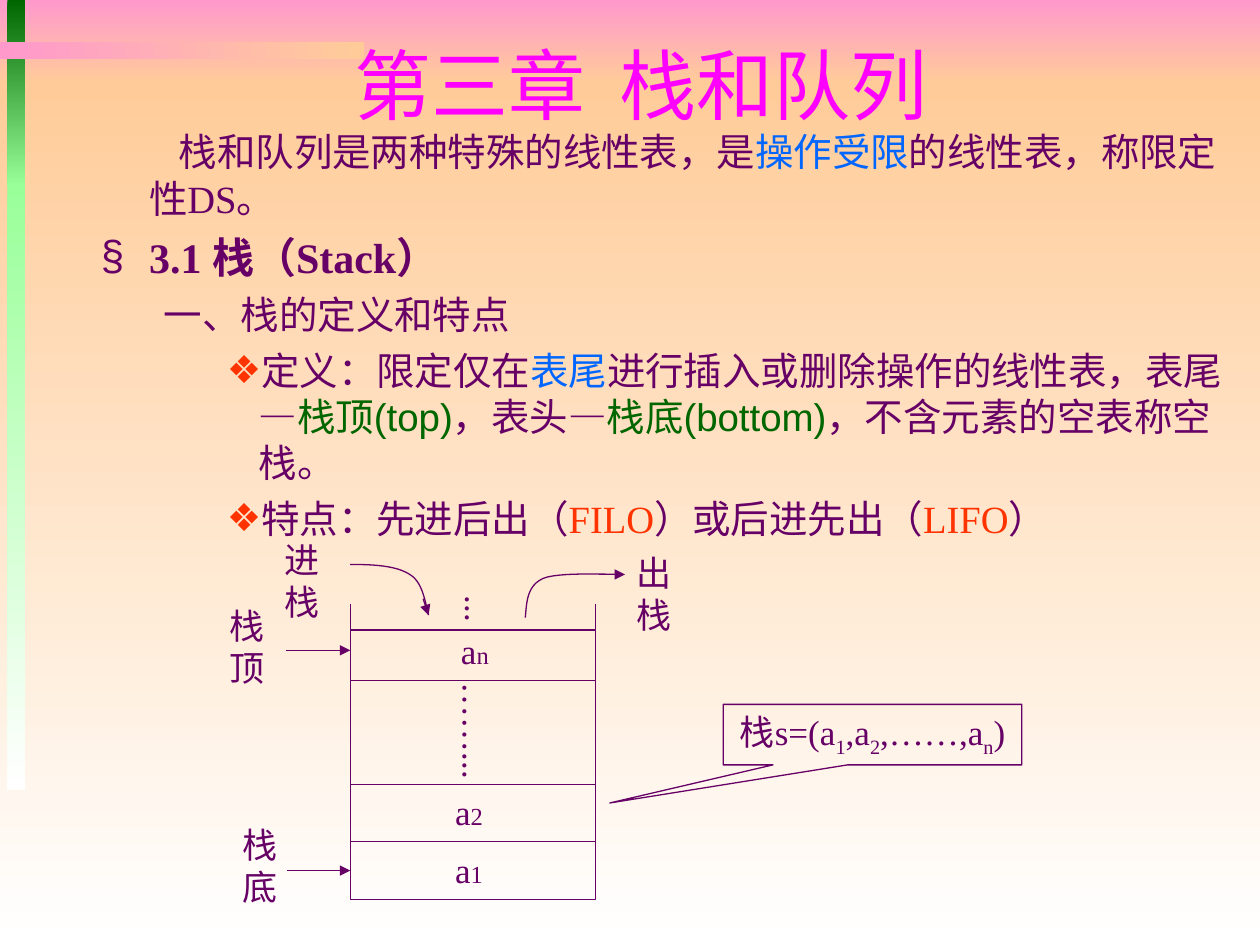
from dataclasses import dataclass
from typing import Optional

from lxml.etree import SubElement
from pptx import Presentation
from pptx.dml.color import RGBColor
from pptx.enum.shapes import MSO_CONNECTOR, MSO_SHAPE
from pptx.enum.text import MSO_ANCHOR, MSO_AUTO_SIZE, PP_ALIGN
from pptx.oxml.ns import qn
from pptx.util import Cm, Pt

COLORS = {
    "ink": "660066", "title": "FF00FF", "blue": "0066FF", "green": "006600",
    "red": "FF3300", "pink": "FF99CC", "peach": "FFCC99", "white": "FFFFFF",
    "mint": "99FF99",
}
SERIF, SANS = "Times New Roman", "Arial"


@dataclass
class Band:
    left: float
    top: float
    width: float
    height: float
    start: str
    end: str
    angle: int = 270


@dataclass
class Piece:
    text: str
    color: str = "ink"
    font: str = SANS
    size: float = 22
    bold: bool = False
    subscript: bool = False


@dataclass
class Item:
    pieces: list[Piece]
    margin: float
    indent: float
    level: int = 0
    space: float = 5.5
    bullet: Optional[str] = None
    bullet_color: str = "ink"


@dataclass
class Label:
    pieces: list[Piece]
    left: float
    top: float
    width: float = 1.9
    height: float = 1.12
    vertical: bool = False


@dataclass
class Segment:
    x1: float
    y1: float
    x2: float
    y2: float
    arrow: bool = False


def rgb(name: str) -> RGBColor:
    return RGBColor.from_string(COLORS[name])


def box(*lengths: float) -> list[Cm]:
    return [Cm(length) for length in lengths]


def place(shape, *lengths: float) -> None:
    shape.left, shape.top, shape.width, shape.height = box(*lengths)


def draw_band(shapes, band: Band, depth: int) -> None:
    bar = shapes.add_shape(MSO_SHAPE.RECTANGLE,
                           *box(band.left, band.top, band.width, band.height))
    bar.shadow.inherit = False
    bar.line.fill.background()
    bar.fill.gradient()
    bar.fill.gradient_angle = band.angle
    for stop, color in zip(bar.fill.gradient_stops, (band.start, band.end)):
        stop.color.rgb = rgb(color)
    shapes._spTree.insert(2 + depth, bar._element)


def write(paragraph, pieces: list[Piece]) -> None:
    paragraph.text = ""
    for piece in pieces:
        run = paragraph.add_run()
        run.text = piece.text
        run.font.name, run.font.size = piece.font, Pt(piece.size)
        run.font.bold = piece.bold
        run.font.color.rgb = rgb(piece.color)
        if piece.subscript:
            run.font._element.set("baseline", "-25000")


def write_item(paragraph, item: Item) -> None:
    write(paragraph, item.pieces)
    paragraph.level = item.level
    paragraph.alignment = PP_ALIGN.LEFT
    paragraph.space_before = Pt(item.space)
    props = paragraph._p.get_or_add_pPr()
    props.set("marL", str(Cm(item.margin)))
    props.set("indent", str(Cm(item.indent)))
    if item.bullet is None:
        SubElement(props, qn("a:buNone"))
        return
    tint = SubElement(props, qn("a:buClr"))
    SubElement(tint, qn("a:srgbClr")).set("val", COLORS[item.bullet_color])
    SubElement(props, qn("a:buFont")).set("typeface", SANS)
    SubElement(props, qn("a:buChar")).set("char", item.bullet)


def outline(shape) -> None:
    shape.shadow.inherit = False
    shape.fill.background()
    shape.line.color.rgb = rgb("ink")
    shape.line.width = Pt(0.75)


def center(frame, pieces: list[Piece]) -> None:
    frame.word_wrap = False
    frame.vertical_anchor = MSO_ANCHOR.MIDDLE
    write(frame.paragraphs[0], pieces)
    frame.paragraphs[0].alignment = PP_ALIGN.CENTER


def draw_label(shapes, label: Label) -> None:
    frame = shapes.add_textbox(
        *box(label.left, label.top, label.width, label.height)).text_frame
    center(frame, label.pieces)
    if label.vertical:
        frame._txBody.bodyPr.set("vert", "eaVert")
        frame.margin_left = frame.margin_right = Cm(0.13)
        frame.margin_top = frame.margin_bottom = Cm(0.25)


def draw_segment(shapes, segment: Segment) -> None:
    line = shapes.add_connector(
        MSO_CONNECTOR.STRAIGHT,
        *box(segment.x1, segment.y1, segment.x2, segment.y2))
    line.line.color.rgb = rgb("ink")
    line.line.width = Pt(0.75)
    if segment.arrow:
        SubElement(line.line._get_or_add_ln(), qn("a:tailEnd")).set("type", "triangle")
    SubElement(line._element.spPr, qn("a:effectLst"))


def draw_curve(shapes, knots: list[tuple[float, float]], steps: int = 12) -> None:
    points = []
    for first in range(0, len(knots) - 1, 3):
        for step in range(1, steps + 1):
            t = step / steps
            weights = ((1 - t) ** 3, 3 * t * (1 - t) ** 2, 3 * t * t * (1 - t), t ** 3)
            points.append(tuple(
                Cm(sum(w * knot[axis] for w, knot in zip(weights, knots[first:first + 4])))
                for axis in (0, 1)))
    builder = shapes.build_freeform(*box(*knots[0]))
    builder.add_line_segments(points, close=False)
    outline(builder.convert_to_shape())


def serif(text: str, size: float = 20, subscript: bool = False) -> Piece:
    return Piece(text, font=SERIF, size=size, subscript=subscript)


BANDS = [
    Band(0, 0, 25.4, 1.7, "pink", "peach"),
    Band(0, 1.7, 25.4, 17.35, "peach", "white"),
    Band(0.15, 0, 0.36, 3.76, "green", "mint"),
    Band(0.15, 3.71, 0.36, 12.22, "mint", "white"),
    Band(0, 0.84, 7.34, 0.36, "pink", "peach", 0),
]
DETAIL = dict(margin=3.18, indent=-0.64, level=2, bullet="❖", bullet_color="red")
ITEMS = [
    Item([Piece("栈和队列是两种特殊的线性表，是"), Piece("操作受限", "blue"),
          Piece("的线性表，称限定性"), Piece("DS", font=SERIF), Piece("。")], 0.97, 0.6),
    Item([Piece("3.1 ", font=SERIF, size=24, bold=True), Piece("栈", size=24, bold=True),
          Piece("（Stack）", font=SERIF, size=24, bold=True)],
         0.97, -0.97, space=6, bullet="§"),
    Item([Piece("一、栈的定义和特点")], 2.06, -0.79, level=1),
    Item([Piece("定义：限定仅在"), Piece("表尾", "blue"),
          Piece("进行插入或删除操作的线性表，表尾—"), Piece("栈顶(top)", "green"),
          Piece("，表头—"), Piece("栈底(bottom)", "green"),
          Piece("，不含元素的空表称空栈。")], **DETAIL),
    Item([Piece("特点：先进后出（"), Piece("FILO", "red", SERIF),
          Piece("）或后进先出（"), Piece("LIFO", "red", SERIF), Piece("）")], **DETAIL),
]
LEFT, RIGHT, TOP, BOTTOM, RIM = 7.06, 12.01, 12.7, 18.14, 12.17
SEGMENTS = [Segment(LEFT, y, RIGHT, y) for y in (13.72, 15.82, 16.97)] + [
    Segment(LEFT, RIM, LEFT, 12.85),
    Segment(RIGHT, TOP, RIGHT, RIM),
    Segment(5.79, 17.55, LEFT, 17.55, True),
    Segment(5.77, 13.11, LEFT, 13.11, True),
    Segment(8.53, 12.07, 8.64, 12.4, True),
    Segment(12.07, 11.58, 12.6, 11.58, True),
]
PUSH = [(7.06, 11.38), (7.52, 11.38), (7.98, 11.4), (8.26, 11.58),
        (8.51, 11.73), (8.56, 12.07), (8.64, 12.4)]
POP = [(10.59, 12.45), (10.62, 12.14), (10.62, 11.81), (10.95, 11.66),
       (11.25, 11.53), (12.27, 11.58), (12.5, 11.58)]
LABELS = [Label([serif("a"), serif(index, 14)], left, top, 1.07)
          for index, left, top in (("n", 9.04, 12.55), ("2", 8.92, 15.8), ("1", 8.92, 16.97))]
LABELS += [Label([serif(text)], left, top)
           for text, left, top in (("栈底", 4.29, 16.89), ("栈顶", 4.04, 12.47),
                                   ("出栈", 12.24, 11.4), ("进栈", 5.13, 11.15))]
LABELS += [Label([serif("……...")], 8.94, 13.51, 1.35, 2.21, True),
           Label([serif("...")], 8.99, 11.76, 1.35, 0.79, True)]
SEQUENCE = [serif("栈s=(a"), serif("1", subscript=True), serif(",a"),
            serif("2", subscript=True), serif(",……,a"), serif("n", subscript=True), serif(")")]


def main() -> None:
    deck = Presentation()
    deck.slide_width, deck.slide_height = box(25.4, 19.05)
    slide = deck.slides.add_slide(deck.slide_layouts[1])
    shapes = slide.shapes
    for depth, band in enumerate(BANDS):
        draw_band(shapes, band, depth)
    chapter, lesson = shapes.title, slide.placeholders[1]
    place(chapter, 2.13, 0.81, 21.59, 1.75)
    center(chapter.text_frame, [Piece("第三章  栈和队列", "title", "Roboto Condensed", 44)])
    place(lesson, 1.78, 2.46, 23.62, 9.35)
    for holder in (chapter, lesson):
        holder.text_frame.auto_size = MSO_AUTO_SIZE.NONE
        holder.text_frame.word_wrap = True
    for number, item in enumerate(ITEMS):
        frame = lesson.text_frame
        write_item(frame.add_paragraph() if number else frame.paragraphs[0], item)
    outline(shapes.add_shape(MSO_SHAPE.RECTANGLE, *box(LEFT, TOP, RIGHT - LEFT, BOTTOM - TOP)))
    for segment in SEGMENTS:
        draw_segment(shapes, segment)
    for knots in (PUSH, POP):
        draw_curve(shapes, knots)
    for label in LABELS:
        draw_label(shapes, label)
    callout = shapes.add_shape(MSO_SHAPE.RECTANGULAR_CALLOUT, *box(14.58, 14.2, 6.02, 1.22))
    callout.adjustments[0], callout.adjustments[1] = -0.88, 1.13
    outline(callout)
    center(callout.text_frame, SEQUENCE)
    deck.save("out.pptx")


if __name__ == "__main__":
    main()
